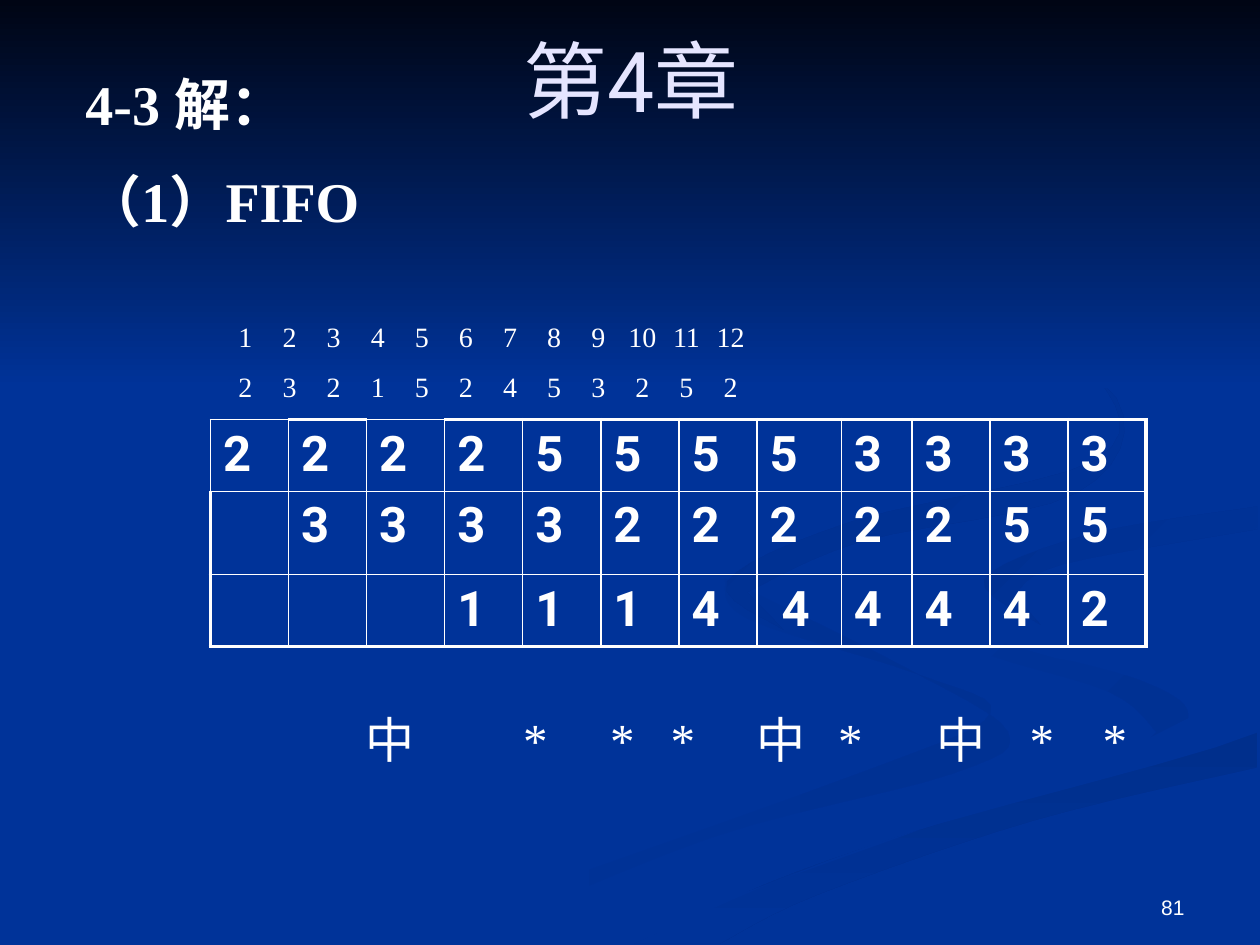
from dataclasses import dataclass

from lxml import etree
from pptx import Presentation
from pptx import util as u
from pptx.dml.color import RGBColor
from pptx.enum import shapes, text
from pptx.oxml import ns

WHITE, BLUE = "FFFFFF", "003399"
TIMES, ROBOTO = "Times New Roman", "Roboto"
Point = tuple[float, float]


@dataclass
class Swoosh:
    edge: list[Point]
    return_edge: list[Point]
    start: str
    end: str
    angle: int


@dataclass
class Label:
    box: tuple[float, float, float, float]
    lines: list[str]
    size: int
    font: str
    color: str = WHITE
    bold: bool = False
    gap: int = 0
    align: text.PP_ALIGN = text.PP_ALIGN.LEFT
    anchor: text.MSO_ANCHOR = text.MSO_ANCHOR.TOP
    tabs: tuple[float, ...] = ()


SWOOSHES = [
    Swoosh([(5.75, 4.59), (5.93, 4.91), (7.28, 5.35), (7.86, 5.66), (6.84, 6.13), (3, 7.49)],
           [(3.61, 7.49), (5.64, 6.65), (7.56, 6.14), (8, 5.81), (7.15, 5.28), (5.75, 4.59)],
           BLUE, "003193", 0),
    Swoosh([(7.24, 4.64), (7.74, 5.03), (9.05, 5.4), (9.43, 5.7), (8.94, 6.05)],
           [(9.18, 5.81), (8.8, 5.49), (7.66, 5.12), (7.24, 4.64)], BLUE, "003193", 45),
    Swoosh([(5.03, 7.49), (6.3, 6.93), (7.97, 6.38), (9.98, 5.81)],
           [(9.98, 6.09), (8.21, 6.51), (6.49, 7.1), (5.71, 7.49)], "002F8C", BLUE, 90),
    Swoosh([(9.99, 3.87), (8.08, 4.17), (7.25, 4.64), (8.12, 5.15), (9.43, 5.7), (4.77, 7.49)],
           [(5.03, 7.49), (6.96, 6.69), (9.99, 5.81), (9.99, 5.38), (7.82, 4.6), (9.99, 4.02)],
           BLUE, BLUE, 0),
    Swoosh([(9.98, 4.02), (8.65, 4.24), (7.81, 4.6), (8.26, 4.96)],
           [(8.05, 4.72), (8.43, 4.48), (9.98, 4.2)], "003091", BLUE, 45),
    Swoosh([(7.62, 2.33), (8.7, 2.99), (8.7, 3.65), (6.76, 4.14), (5.77, 4.62), (6.22, 5)],
           [(5.93, 4.7), (6.83, 4.3), (8.55, 3.91), (8.86, 3.16), (7.62, 2.33)],
           "002F8E", BLUE, 45),
]

STEPS = [str(step) for step in range(1, 13)]
STEP_TABS = tuple(0.16 + 0.35 * index for index in range(len(STEPS)))
MARK_TABS = (1.33, 2.48, 3.17, 3.65, 4.43, 4.98, 5.86, 6.5, 7.08)


def tabbed(items: list[str]) -> str:
    return "".join("\t" + item for item in items)


LABELS = [
    Label((7.17, 6.83, 2.33, 0.52), ["81"], 12, "Arial",
          align=text.PP_ALIGN.RIGHT, anchor=text.MSO_ANCHOR.BOTTOM),
    Label((0.58, 0.5, 3, 1.43), ["4-3 解：", "（1）FIFO"], 32, TIMES, bold=True, gap=17),
    Label((1.69, 2.49, 7.5, 0.77), [tabbed(STEPS), tabbed(list("232152453252"))],
          16, TIMES, gap=9, tabs=STEP_TABS),
    Label((1.67, 5.58, 7.42, 0.57), [tabbed(list("中***中*中**"))], 28, TIMES, tabs=MARK_TABS),
    Label((0.51, 0, 9, 1.25), ["第4章"], 48, ROBOTO, "E5E5FF",
          align=text.PP_ALIGN.CENTER, anchor=text.MSO_ANCHOR.MIDDLE),
]

FRAMES = [
    list("222255553333"),
    ["", *"33332222255"],
    ["", "", "", *"1114", " 4", *"4442"],
]
FRAMES[1] = ["", *"3333", *"22222", *"55"]
COLUMN_WIDTHS = [0.62] * 7 + [0.67, 0.56] + [0.62] * 3
ROW_HEIGHTS = [0.57, 0.66, 0.57]


def rgb(value: str) -> RGBColor:
    return RGBColor.from_string(value)


def smooth(points: list[Point], steps: int = 6) -> list[Point]:
    padded = [points[0], *points, points[-1]]
    curve = [points[0]]
    for before, first, second, after in zip(padded, padded[1:], padded[2:], padded[3:]):
        for step in range(1, steps + 1):
            t = step / steps
            curve.append(tuple(
                b + t * (c - a) / 2 + t**2 * (a - 2.5 * b + 2 * c - d / 2)
                + t**3 * (3 * (b - c) + d - a) / 2
                for a, b, c, d in zip(before, first, second, after)))
    return curve


def paint(shape, start: str, end: str, angle: int) -> None:
    shape.shadow.inherit = False
    shape.line.fill.background()
    shape.fill.gradient()
    shape.fill.gradient_angle = -angle % 360
    for stop, color, position in zip(shape.fill.gradient_stops, (start, end), (0, 1)):
        stop.color.rgb = rgb(color)
        stop.position = position


def draw_swoosh(slide, swoosh: Swoosh) -> None:
    outline = smooth(swoosh.edge) + smooth(swoosh.return_edge)
    points = [(u.Inches(min(x, 10)), u.Inches(min(y, 7.5))) for x, y in outline]
    builder = slide.shapes.build_freeform(*points[0])
    builder.add_line_segments(points[1:], close=True)
    paint(builder.convert_to_shape(), swoosh.start, swoosh.end, swoosh.angle)


def add_run(paragraph, content: str, size: int, font: str, color: str, bold: bool) -> None:
    run = paragraph.add_run()
    run.text = content
    run.font.size = u.Pt(size)
    run.font.name = font
    run.font.bold = bold
    run.font.color.rgb = rgb(color)


def add_tabs(paragraph, positions: tuple[float, ...]) -> None:
    tab_list = etree.SubElement(paragraph._p.get_or_add_pPr(), ns.qn("a:tabLst"))
    for position in positions:
        etree.SubElement(tab_list, ns.qn("a:tab"), pos=str(u.Inches(position)), algn="ctr")


def draw_label(slide, label: Label) -> None:
    frame = slide.shapes.add_textbox(*map(u.Inches, label.box)).text_frame
    frame.word_wrap = True
    frame.vertical_anchor = label.anchor
    for index, line in enumerate(label.lines):
        paragraph = frame.add_paragraph() if index else frame.paragraphs[0]
        if label.tabs:
            add_tabs(paragraph, label.tabs)
        paragraph.alignment = label.align
        if index:
            paragraph.space_before = u.Pt(label.gap)
        add_run(paragraph, line, label.size, label.font, label.color, label.bold)


def set_borders(cell, thick: dict[str, bool]) -> None:
    properties = cell._tc.get_or_add_tcPr()
    for side, is_thick in thick.items():
        width = u.Pt(2.25 if is_thick else 1)
        line = etree.SubElement(properties, ns.qn(f"a:ln{side}"), w=str(width))
        fill = etree.SubElement(line, ns.qn("a:solidFill"))
        etree.SubElement(fill, ns.qn("a:srgbClr"), val=WHITE)


def draw_frames(slide) -> None:
    area = map(u.Inches, (1.67, 3.33, sum(COLUMN_WIDTHS), sum(ROW_HEIGHTS)))
    table = slide.shapes.add_table(len(FRAMES), len(COLUMN_WIDTHS), *area).table
    table.first_row = table.horz_banding = False
    for column, width in zip(table.columns, COLUMN_WIDTHS):
        column.width = u.Inches(width)
    for row, (height, values) in enumerate(zip(ROW_HEIGHTS, FRAMES)):
        table.rows[row].height = u.Inches(height)
        for column, value in enumerate(values):
            cell = table.cell(row, column)
            set_borders(cell, {"L": column == 0 and row > 0, "R": column == 11,
                               "T": row == 0 and column not in (0, 2), "B": row == 2})
            cell.fill.background()
            if value:
                add_run(cell.text_frame.paragraphs[0], value, 28, ROBOTO, WHITE, True)


def main() -> None:
    presentation = Presentation()
    presentation.slide_width, presentation.slide_height = u.Inches(10), u.Inches(7.5)
    slide = presentation.slides.add_slide(presentation.slide_layouts[6])
    slide.background.fill.solid()
    slide.background.fill.fore_color.rgb = rgb(BLUE)
    for swoosh in SWOOSHES:
        draw_swoosh(slide, swoosh)
    sky = slide.shapes.add_shape(shapes.MSO_SHAPE.RECTANGLE, 0, 0, u.Inches(10), u.Inches(3.08))
    paint(sky, "000514", BLUE, 90)
    draw_frames(slide)
    for label in LABELS:
        draw_label(slide, label)
    presentation.save("out.pptx")


if __name__ == "__main__":
    main()
